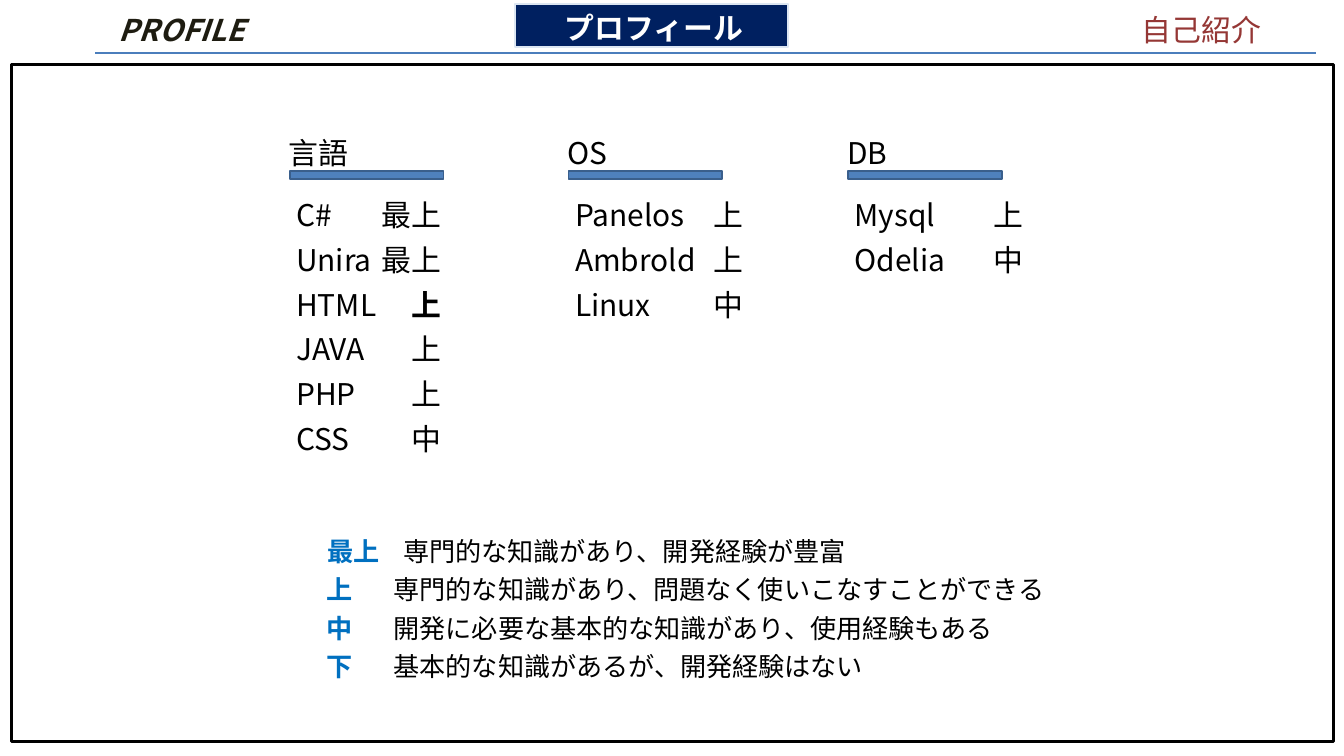
from dataclasses import dataclass

from lxml.etree import SubElement
from pptx import Presentation
from pptx.dml.color import RGBColor
from pptx.enum.shapes import MSO_CONNECTOR as Connector, MSO_SHAPE as Preset
from pptx.enum.text import MSO_AUTO_SIZE as AutoSize, PP_ALIGN as Align
from pptx.oxml.ns import qn
from pptx.util import Inches, Pt

COLORS = {
    "black": "000000",
    "white": "FFFFFF",
    "bar": "4F81BD",
    "bar_line": "3A5F8C",
    "navy": "002060",
    "pale": "DCE6F2",
    "rule": "4B7EBC",
    "level": "0070C0",
    "topic": "953735",
    "profile": "1E1C11",
}
JAPANESE = "Noto Sans CJK JP"
KOREAN = "Noto Sans CJK KR"
ROW_TOP, ROW_PITCH = 2.88, 0.665
LEGEND_TOP, LEGEND_PITCH = 7.92, 0.57
CHARACTER_WIDTH = 0.44


@dataclass
class Run:
    text: str
    color: str = "black"
    size: int = 32
    font: str = JAPANESE
    bold: bool = False
    italic: bool = False


@dataclass
class Skill:
    name: str
    level: str
    bold: bool = False


@dataclass
class SkillGroup:
    title: str
    left: float
    level_left: float
    name_width: float
    skills: list[Skill]


@dataclass
class Level:
    label: str
    meaning: str
    left: float = 4.76
    tab: float = 1.0


GROUPS = [
    SkillGroup("言語", 4.31, 6.02, 1.71, [
        Skill("C#", "最上"),
        Skill("Unira", "最上"),
        Skill("HTML", "上", bold=True),
        Skill("JAVA", "上"),
        Skill("PHP", "上"),
        Skill("CSS", "中"),
    ]),
    SkillGroup("OS", 8.46, 10.52, 2.28, [
        Skill("Panelos", "上"),
        Skill("Ambrold", "上"),
        Skill("Linux", "中"),
    ]),
    SkillGroup("DB", 12.62, 14.69, 2.28, [
        Skill("Mysql", "上"),
        Skill("Odelia", "中"),
    ]),
]
LEVELS = [
    Level("最上", "専門的な知識があり、開発経験が豊富", left=4.78, tab=1.12),
    Level("上", "専門的な知識があり、問題なく使いこなすことができる"),
    Level("中", "開発に必要な基本的な知識があり、使用経験もある"),
    Level("下", "基本的な知識があるが、開発経験はない"),
]


def rgb(name: str) -> RGBColor:
    return RGBColor.from_string(COLORS[name])


def add_box(slide, left: float, top: float, width: float, height: float,
            fill: str, line: str, line_width: float) -> None:
    shape = slide.shapes.add_shape(
        Preset.RECTANGLE, Inches(left), Inches(top), Inches(width), Inches(height))
    shape.shadow.inherit = False
    shape.fill.solid()
    shape.fill.fore_color.rgb = rgb(fill)
    shape.line.color.rgb = rgb(line)
    shape.line.width = Pt(line_width)


def add_text(slide, left: float, top: float, width: float, runs: list[Run],
             align: Align = Align.LEFT, tab: float = 0) -> None:
    shape = slide.shapes.add_textbox(
        Inches(left), Inches(top), Inches(width), Inches(0.64))
    frame = shape.text_frame
    frame.word_wrap = True
    frame.auto_size = AutoSize.SHAPE_TO_FIT_TEXT
    paragraph = frame.paragraphs[0]
    paragraph.alignment = align
    if tab:
        properties = paragraph._p.get_or_add_pPr()
        tabs = SubElement(properties, qn("a:tabLst"))
        SubElement(tabs, qn("a:tab"), pos=str(Inches(tab)), algn="l")
    for item in runs:
        run = paragraph.add_run()
        run.text = item.text
        run.font.size = Pt(item.size)
        run.font.bold = item.bold
        run.font.italic = item.italic
        run.font.color.rgb = rgb(item.color)
        run.font.name = item.font
        SubElement(run._r.get_or_add_rPr(), qn("a:ea"), typeface=item.font)


def add_header(slide) -> None:
    add_box(slide, 7.67, 0.06, 4.06, 0.64, "navy", "pale", 2)
    rule = slide.shapes.add_connector(
        Connector.STRAIGHT, Inches(1.42), Inches(0.79), Inches(19.58), Inches(0.79))
    rule.line.color.rgb = rgb("rule")
    rule.line.width = Pt(1.5)
    SubElement(rule._element.spPr, qn("a:effectLst"))
    add_text(slide, 16.89, 0.12, 3, [Run("自己紹介", "topic", font=KOREAN)])
    add_text(slide, 1.67, 0.12, 4.83,
             [Run("PROFILE", "profile", bold=True, italic=True)])
    add_text(slide, 7.77, 0.09, 3.93,
             [Run("プロフィール", "white", font=KOREAN, bold=True)], Align.CENTER)


def add_group(slide, group: SkillGroup) -> None:
    add_text(slide, group.left - 0.11, 1.95, 2.55, [Run(group.title)])
    add_box(slide, group.left, 2.54, 2.29, 0.13, "bar", "bar_line", 2)
    for index, skill in enumerate(group.skills):
        top = ROW_TOP + index * ROW_PITCH
        level_left = group.level_left - CHARACTER_WIDTH * (len(skill.level) - 1)
        font = KOREAN if skill.bold else JAPANESE
        add_text(slide, group.left, top, group.name_width, [Run(skill.name)])
        add_text(slide, level_left, top, 1.14,
                 [Run(skill.level, font=font, bold=skill.bold)])


def add_legend(slide) -> None:
    for index, level in enumerate(LEVELS):
        add_text(slide, level.left, LEGEND_TOP + index * LEGEND_PITCH, 12.24,
                 [Run(level.label + "\t", "level", 28, bold=True),
                  Run(level.meaning, size=28)], tab=level.tab)


def main() -> None:
    presentation = Presentation()
    presentation.slide_width = Inches(20)
    presentation.slide_height = Inches(11.25)
    slide = presentation.slides.add_slide(presentation.slide_layouts[6])
    add_box(slide, 0.17, 0.96, 19.67, 10.08, "white", "black", 3)
    for group in GROUPS:
        add_group(slide, group)
    add_legend(slide)
    add_header(slide)
    presentation.save("out.pptx")


if __name__ == "__main__":
    main()
